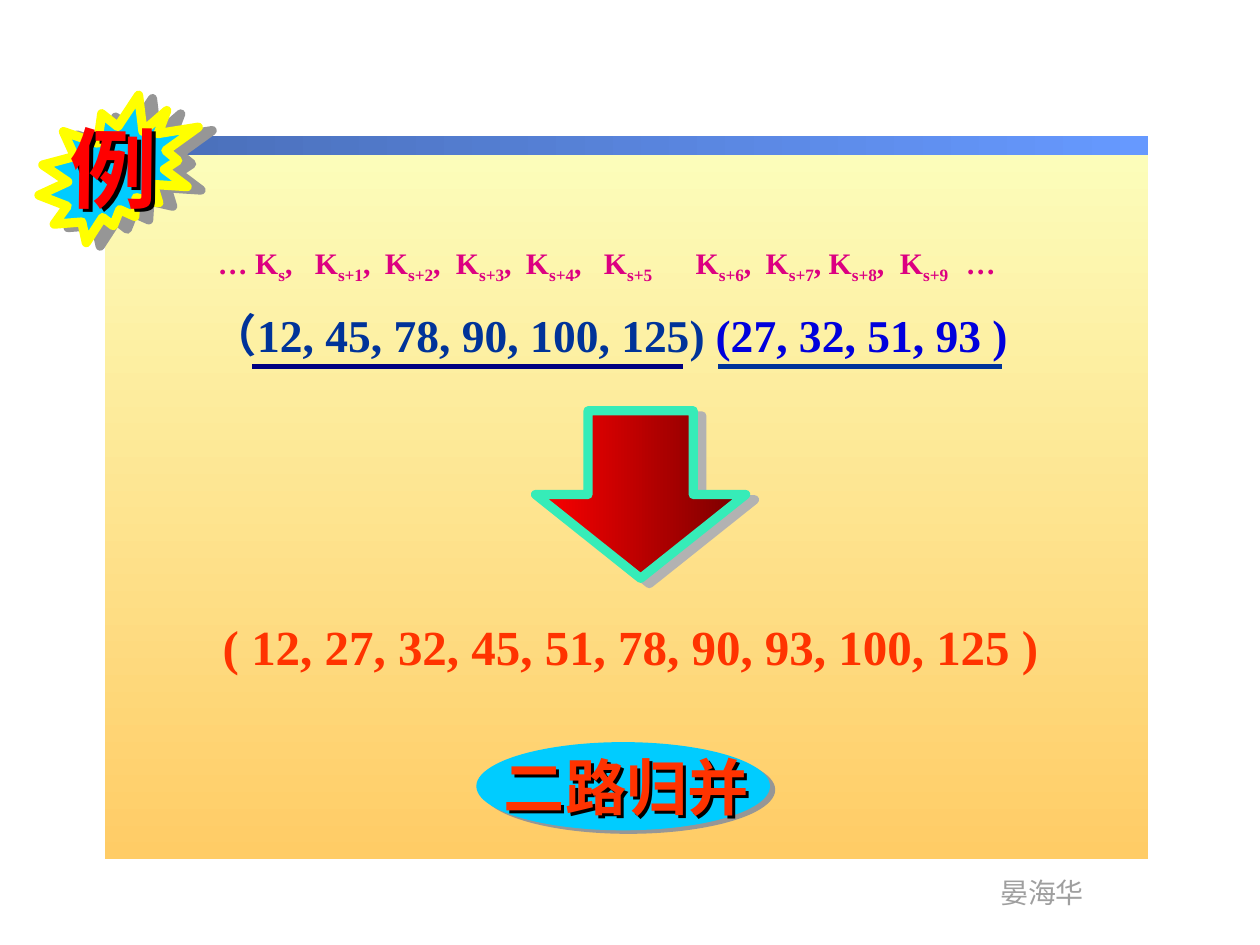
from dataclasses import dataclass
from typing import Optional

from lxml.etree import SubElement
from pptx import Presentation
from pptx.dml.color import RGBColor as RGB
from pptx.enum.shapes import MSO_CONNECTOR as CONN, MSO_SHAPE as SHAPE
from pptx.enum.text import MSO_ANCHOR as ANCHOR
from pptx.oxml.ns import qn
from pptx.util import Pt

COLORS = {
    "cream": "FCFEBC", "sand": "FFCC66", "bar_dark": "496DB6", "bar_light": "6699FF",
    "gray": "9F9F9F", "shadow": "969696", "arrow_shadow": "B2B2B2", "black": "000000",
    "cyan": "00CCFF", "yellow": "FFFF00", "red": "FF0000", "maroon": "760000",
    "mint": "36ECB8", "blue": "003399", "bright_blue": "0000DC", "navy": "000080",
    "orange": "FF3300", "magenta": "DC0081",
}
SERIF = "Times New Roman"


@dataclass
class Shadow:
    color: str
    dist: float
    angle: float


@dataclass
class Figure:
    kind: SHAPE
    box: tuple
    fill: tuple  # one colour, or two for a gradient
    angle: float = 0
    line: Optional[str] = None
    shadow: Optional[Shadow] = None
    rotation: float = 0


@dataclass
class Label:
    text: str
    box: tuple
    size: float
    color: str
    font: str = SERIF
    bold: bool = True
    wrap: bool = True
    anchor: ANCHOR = ANCHOR.MIDDLE
    shadow: Optional[Shadow] = None
    rotation: float = 0


@dataclass
class Underline:
    start: float
    end: float
    y: float
    color: str


def rgb(name: str) -> RGB:
    return RGB.from_string(COLORS[name])


def add_shadow(sp, shadow: Shadow) -> None:
    sp.shadow.inherit = False
    effects = sp._element.spPr.find(qn("a:effectLst"))
    outer = SubElement(effects, qn("a:outerShdw"), dist=str(Pt(shadow.dist)),
                       dir=str(round(shadow.angle * 60000)), algn="ctr", rotWithShape="0")
    SubElement(outer, qn("a:srgbClr"), val=COLORS[shadow.color])


def draw_figure(s, fig: Figure) -> None:
    sp = s.shapes.add_shape(fig.kind, *map(Pt, fig.box))
    sp.rotation = fig.rotation
    sp.shadow.inherit = False
    if len(fig.fill) == 1:
        sp.fill.solid()
        sp.fill.fore_color.rgb = rgb(fig.fill[0])
    else:
        sp.fill.gradient()
        sp.fill.gradient_angle = fig.angle
        for stop, name in zip(sp.fill.gradient_stops, fig.fill):
            stop.color.rgb = rgb(name)
    if fig.line:
        sp.line.color.rgb = rgb(fig.line)
        sp.line.width = Pt(5.25)
    else:
        sp.line.fill.background()
    if fig.shadow:
        add_shadow(sp, fig.shadow)


def draw_label(s, label: Label):
    sp = s.shapes.add_textbox(*map(Pt, label.box))
    sp.rotation = label.rotation
    tf = sp.text_frame
    tf.word_wrap = label.wrap
    tf.vertical_anchor = label.anchor
    p = tf.paragraphs[0]
    if label.text:
        p.add_run().text = label.text
    p.font.name, p.font.size, p.font.bold = label.font, Pt(label.size), label.bold
    p.font.color.rgb = rgb(label.color)
    if label.shadow:
        add_shadow(sp, label.shadow)
    return p


def draw_keys(s, label: Label, keys: list, stops: list) -> None:
    """Write the keys with subscripts, each one at its own tab stop."""
    p = draw_label(s, label)
    tabs = SubElement(p._p.get_or_add_pPr(), qn("a:tabLst"))
    for stop in stops:
        SubElement(tabs, qn("a:tab"), pos=str(Pt(stop)), algn="l")
    tabs.getparent().insert(0, tabs)
    lead = "… K"
    for key in keys:
        p.add_run().text = lead
        r = p.add_run()
        r.text = key
        r.font._element.set("baseline", "-25000")
        lead = "\tK" if key == "s+5" else ",\tK"
    p.add_run().text = "\t…"


def draw_underline(s, rule: Underline) -> None:
    cx = s.shapes.add_connector(CONN.STRAIGHT, Pt(rule.start), Pt(rule.y),
                                Pt(rule.end), Pt(rule.y))
    cx.line.color.rgb = rgb(rule.color)
    cx.line.width = Pt(2.5)
    SubElement(cx._element.spPr, qn("a:effectLst"))


TEXT_SHADOW = Shadow("black", 2.5, 45)

# Panel and title bar
BACKDROP = [
    Figure(SHAPE.RECTANGLE, (59.8, 79.2, 596.2, 411.8), ("cream", "sand"), angle=270),
    Figure(SHAPE.RECTANGLE, (60.5, 77.8, 595.5, 10.8), ("bar_dark", "bar_light")),
]
FOOTER = Label("晏海华", (564.5, 496.8, 62.6, 26.6), 16, "gray", "Arial Narrow",
               bold=False, wrap=False)

# Example badge
STAR = Figure(SHAPE.EXPLOSION2, (20.2, 56.9, 96.5, 77.8), ("cyan",), line="yellow",
              shadow=Shadow("shadow", 8.2, 14), rotation=350)
STAR_LABEL = Label("例", (33.1, 61.9, 64.8, 67), 50, "red", wrap=False,
                   shadow=TEXT_SHADOW, rotation=0.6)

# Two sorted runs, merged below
RUNS = [
    Label("（12, 45, 78, 90, 100, 125)", (113.8, 172.1, 318.2, 38.2), 26, "blue"),
    Label("(27, 32, 51, 93 )", (401.8, 172.1, 210.2, 38.2), 26, "bright_blue",
          anchor=ANCHOR.BOTTOM),
]
UNDERLINES = [Underline(144, 390.2, 209.5, "navy"), Underline(410.4, 572.4, 209.5, "blue")]
ARROW = Figure(SHAPE.DOWN_ARROW, (306, 234.7, 120.2, 95.8), ("red", "maroon"),
               line="mint", shadow=Shadow("arrow_shadow", 5.8, 31))
MERGED = Label("( 12, 27, 32, 45, 51, 78, 90, 93, 100, 125 )",
               (120.2, 348.5, 500.4, 41), 28, "orange", anchor=ANCHOR.BOTTOM)

# Method badge
OVAL = Figure(SHAPE.OVAL, (272.2, 424.1, 167.8, 50.4), ("cyan",),
              shadow=Shadow("shadow", 3.6, 34))
OVAL_LABEL = Label("二路归并", (280.8, 424.8, 203.8, 49), 35, "orange",
                   "Noto Sans CJK JP", shadow=TEXT_SHADOW)

# Key names above the numbers
KEY_LABEL = Label("", (117.4, 139, 527, 27.4), 17, "magenta", anchor=ANCHOR.BOTTOM)
KEYS = ["s"] + [f"s+{i}" for i in range(1, 10)]
KEY_STOPS = [55.4, 95.4, 136, 176, 220.6, 273, 313, 349, 389.7, 427.4]


def main() -> None:
    prs = Presentation()
    prs.slide_width, prs.slide_height = Pt(720), Pt(540)
    s = prs.slides.add_slide(prs.slide_layouts[6])
    for fig in BACKDROP:
        draw_figure(s, fig)
    draw_label(s, FOOTER)
    draw_figure(s, STAR)
    draw_label(s, STAR_LABEL)
    for label in RUNS:
        draw_label(s, label)
    for rule in UNDERLINES:
        draw_underline(s, rule)
    draw_figure(s, ARROW)
    draw_label(s, MERGED)
    draw_figure(s, OVAL)
    draw_label(s, OVAL_LABEL)
    draw_keys(s, KEY_LABEL, KEYS, KEY_STOPS)
    prs.save("out.pptx")


if __name__ == "__main__":
    main()
